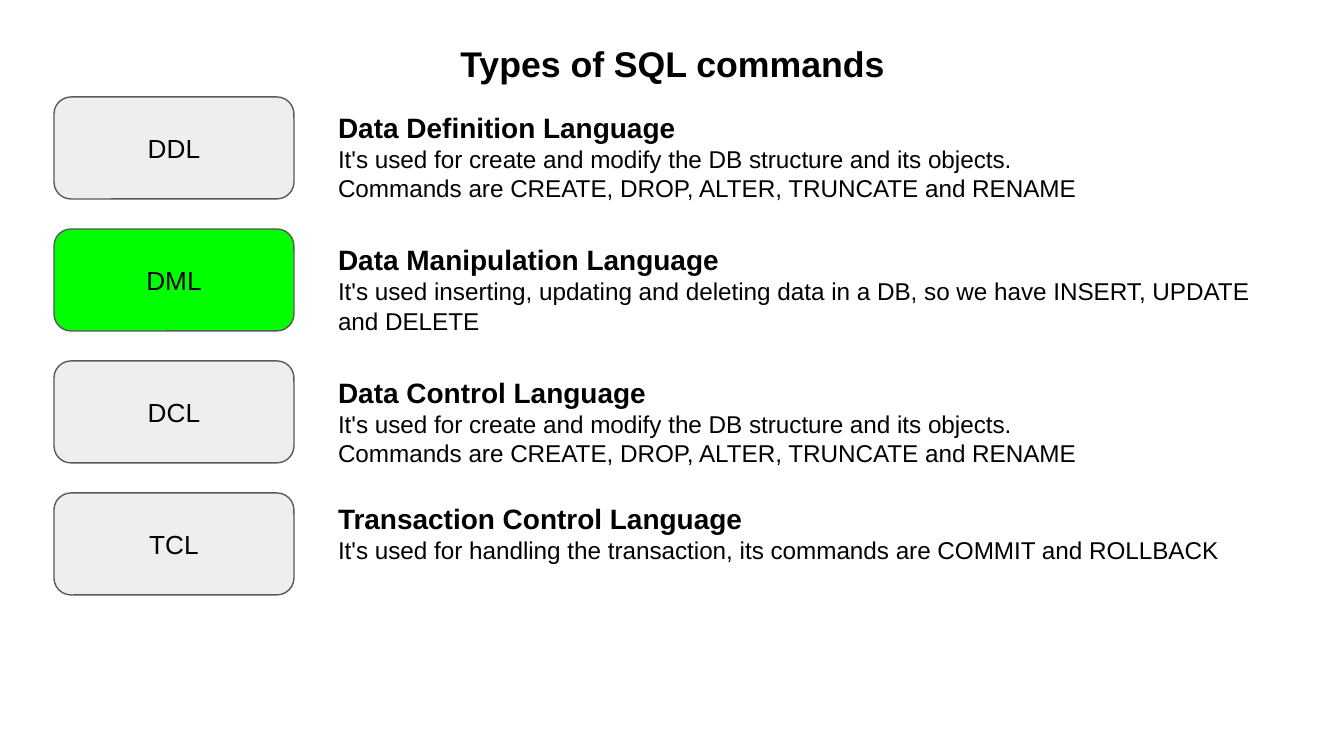
from dataclasses import dataclass

import pptx
import pptx.dml.color
import pptx.enum.shapes
import pptx.enum.text
import pptx.util

EMU_PER_PX = 914400 / 134.4
ALIGN = pptx.enum.text.PP_ALIGN
ANCHOR = pptx.enum.text.MSO_ANCHOR


@dataclass(frozen=True)
class Theme:
    font: str = "Arial"
    ink: str = "000000"
    outline: str = "595959"
    plain: str = "EEEEEE"
    highlight: str = "00FF00"
    title_size: float = 19.1
    label_size: float = 14
    heading_size: float = 15
    body_size: float = 13


@dataclass(frozen=True)
class Area:
    left: int
    top: int
    width: int
    height: int


@dataclass(frozen=True)
class Command:
    label: str
    name: str
    details: tuple[str, ...]
    text_shift: int  # text top relative to its label box
    highlighted: bool = False


THEME = Theme()
PADDING = 13
ROW_PITCH = 132
TITLE_AREA = Area(46, 34, 1253, 63)
LABEL_AREA = Area(54, 97, 240, 102)
TEXT_AREA = Area(325, 97, 973, 102)

STRUCTURE_DETAILS = (
    "It's used for create and modify the DB structure and its objects.",
    "Commands are CREATE, DROP, ALTER, TRUNCATE and RENAME",
)
COMMANDS = (
    Command("DDL", "Data Definition Language", STRUCTURE_DETAILS, 1),
    Command("DML", "Data Manipulation Language",
            ("It's used inserting, updating and deleting data in a DB, "
             "so we have INSERT, UPDATE and DELETE",), 1, True),
    Command("DCL", "Data Control Language", STRUCTURE_DETAILS, 2),
    Command("TCL", "Transaction Control Language",
            ("It's used for handling the transaction, "
             "its commands are COMMIT and ROLLBACK",), -4),
)


def px(length: int) -> pptx.util.Emu:
    return pptx.util.Emu(round(length * EMU_PER_PX))


def color(value: str) -> pptx.dml.color.RGBColor:
    return pptx.dml.color.RGBColor.from_string(value)


def apply(target: object, values: dict) -> None:
    for name, value in values.items():
        setattr(target, name, value)


def bounds(area: Area, shift: int = 0) -> dict:
    return {"left": px(area.left), "top": px(area.top + shift),
            "width": px(area.width), "height": px(area.height)}


def set_frame(frame, anchor) -> None:
    apply(frame, {"word_wrap": True, "vertical_anchor": anchor,
                  "auto_size": pptx.enum.text.MSO_AUTO_SIZE.NONE})
    apply(frame, {f"margin_{side}": px(PADDING)
                  for side in ("left", "top", "right", "bottom")})


def write(para, text: str, size: float, bold: bool = False,
          align=ALIGN.LEFT, spacing: float = 1.0) -> None:
    apply(para, {"alignment": align, "line_spacing": spacing,
                 "space_before": pptx.util.Pt(0),
                 "space_after": pptx.util.Pt(0)})
    span = para.add_run()
    span.text = text
    apply(span.font, {"name": THEME.font, "size": pptx.util.Pt(size),
                      "bold": bold})
    span.font.color.rgb = color(THEME.ink)


def draw_title(page, text: str) -> None:
    title = page.shapes.title
    apply(title, bounds(TITLE_AREA))
    set_frame(title.text_frame, ANCHOR.BOTTOM)
    write(title.text_frame.paragraphs[0], text, THEME.title_size,
          bold=True, align=ALIGN.CENTER, spacing=0.8)


def draw_label(page, command: Command, shift: int) -> None:
    box = page.shapes.add_shape(
        pptx.enum.shapes.MSO_SHAPE.ROUNDED_RECTANGLE,
        **bounds(LABEL_AREA, shift))
    box.shadow.inherit = False
    box.fill.solid()
    box.fill.fore_color.rgb = color(
        THEME.highlight if command.highlighted else THEME.plain)
    box.line.color.rgb = color(THEME.outline)
    box.line.width = pptx.util.Pt(0.75)
    set_frame(box.text_frame, ANCHOR.MIDDLE)
    write(box.text_frame.paragraphs[0], command.label, THEME.label_size,
          align=ALIGN.CENTER)


def draw_description(page, command: Command, shift: int) -> None:
    box = page.shapes.add_textbox(
        **bounds(TEXT_AREA, shift + command.text_shift))
    frame = box.text_frame
    set_frame(frame, ANCHOR.TOP)
    write(frame.paragraphs[0], command.name, THEME.heading_size, bold=True)
    for detail in command.details:
        write(frame.add_paragraph(), detail, THEME.body_size)


def main() -> None:
    deck = pptx.Presentation()
    apply(deck, {"slide_width": px(1344), "slide_height": px(756)})
    page = deck.slides.add_slide(deck.slide_layouts[5])

    # Title
    draw_title(page, "Types of SQL commands")

    # One row per command type
    for row, command in enumerate(COMMANDS):
        draw_label(page, command, row * ROW_PITCH)
        draw_description(page, command, row * ROW_PITCH)

    deck.save("out.pptx")


if __name__ == "__main__":
    main()
